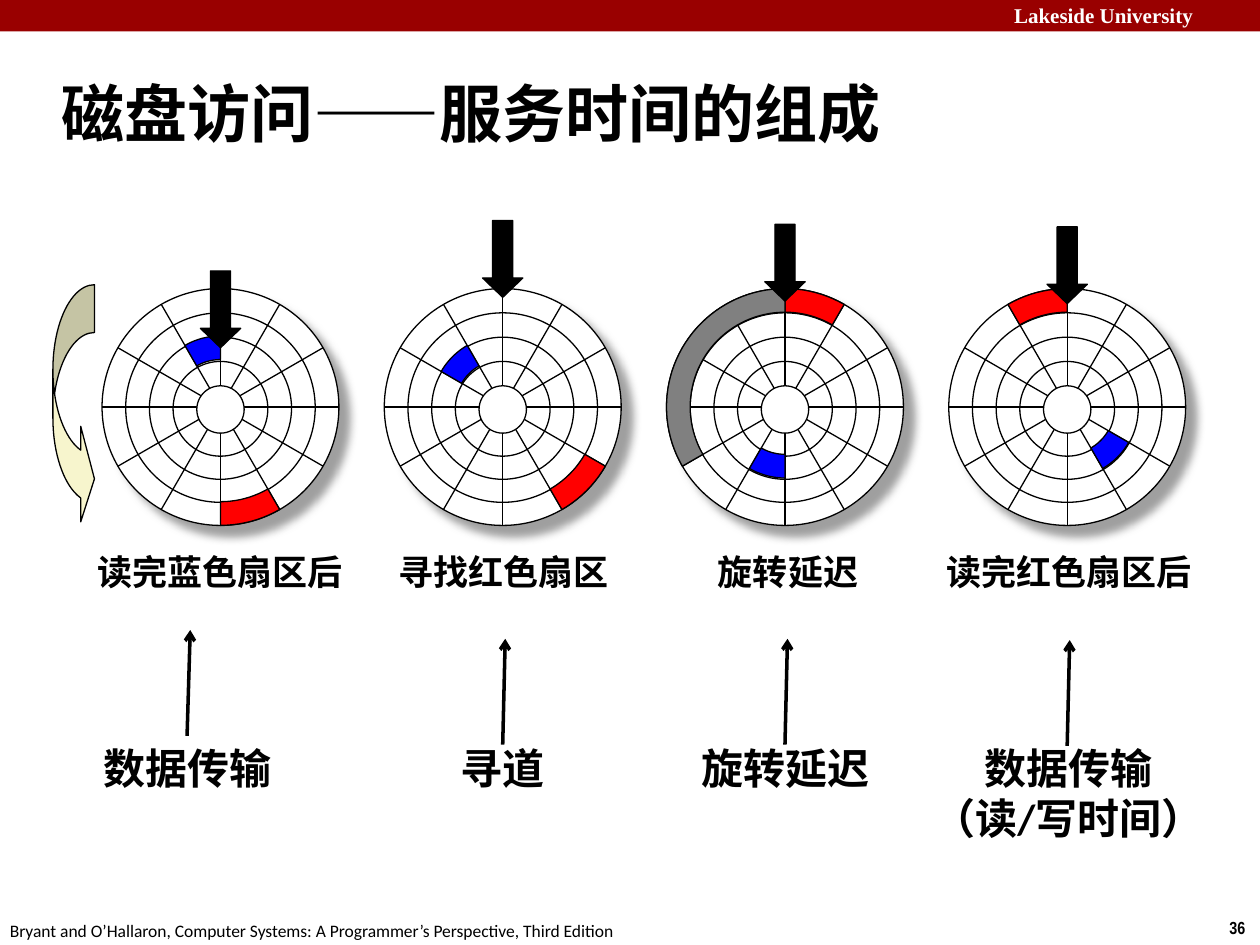
"""Build the slide on the parts of disk access time."""
import math

import lxml.etree
import pptx
import pptx.dml.color
import pptx.enum.shapes
import pptx.enum.text
import pptx.oxml.ns
import pptx.util

Inches = pptx.util.Inches
Pt = pptx.util.Pt
SHAPES = pptx.enum.shapes.MSO_SHAPE
ALIGN = pptx.enum.text.PP_ALIGN
COLORS = {
    "banner": "990000",
    "white": "FFFFFF",
    "black": "000000",
    "blue": "0000FF",
    "red": "FF0000",
    "gray": "808080",
    "cream": "F7F5CD",
}
RADIUS = 0.94
CENTER_Y = 3.23
RING_COUNT = 5


def rgb(name):
    return pptx.dml.color.RGBColor.from_string(COLORS[name])


def add_xml(parent, tag, **attributes):
    element = lxml.etree.SubElement(parent, pptx.oxml.ns.qn(tag))
    for key, value in attributes.items():
        element.set(key, str(value))
    return element


def write(frame, text, size=24, font="Calibri", color="black", bold=True,
          align=ALIGN.LEFT):
    frame.text = text
    for paragraph in frame.paragraphs:
        paragraph.alignment = align
        for run in paragraph.runs:
            run.font.size = Pt(size)
            run.font.name = font
            run.font.bold = bold
            run.font.color.rgb = rgb(color)


def polar(center_x, radius, degrees):
    angle = math.radians(degrees)
    return (Inches(center_x + radius * math.sin(angle)),
            Inches(CENTER_Y - radius * math.cos(angle)))


class DiskSlide:
    def __init__(self, slide):
        self.slide = slide
        self.line_width = Pt(0.75)

    def paint(self, shape, fill, line="black"):
        shape.shadow.inherit = False
        shape.fill.solid()
        shape.fill.fore_color.rgb = rgb(fill)
        if line:
            shape.line.color.rgb = rgb(line)
            shape.line.width = self.line_width
        else:
            shape.line.fill.background()
        return shape

    def title(self, text, left, top, width, height):
        title = self.slide.shapes.title
        title.left, title.top = Inches(left), Inches(top)
        title.width, title.height = Inches(width), Inches(height)
        title.text_frame.vertical_anchor = pptx.enum.text.MSO_ANCHOR.MIDDLE
        write(title.text_frame, text, size=36)

    def text(self, text, left, top, width, height, wrap=True, **style):
        box = self.slide.shapes.add_textbox(
            Inches(left), Inches(top), Inches(width), Inches(height))
        box.text_frame.word_wrap = wrap
        box.text_frame.auto_size = pptx.enum.text.MSO_AUTO_SIZE.SHAPE_TO_FIT_TEXT
        write(box.text_frame, text, **style)
        return box

    def shape(self, kind, left, top, width, height, fill, line="black",
              adjustments=(), parent=None):
        shape = (parent or self.slide).shapes.add_shape(
            kind, Inches(left), Inches(top), Inches(width), Inches(height))
        for index, value in enumerate(adjustments):
            shape.adjustments[index] = value
        return self.paint(shape, fill, line)

    def line(self, start, end, width=0.75, arrow=False, parent=None):
        line = (parent or self.slide).shapes.add_connector(
            pptx.enum.shapes.MSO_CONNECTOR.STRAIGHT, *start, *end)
        line.line.color.rgb = rgb("black")
        line.line.width = Pt(width)
        if arrow:
            add_xml(line.line._get_or_add_ln(), "a:tailEnd", type="arrow")
        add_xml(line._element.spPr, "a:effectLst")
        return line

    def ring(self, disk, center_x, level):
        radius = RADIUS * level / RING_COUNT
        center_y = CENTER_Y + 0.005 * (RING_COUNT - level)
        return self.shape(SHAPES.OVAL, center_x - radius, center_y - radius,
                          2 * radius, 2 * radius, "white", parent=disk)

    def cast_shadow(self, shape):
        effects = shape._element.spPr.find(pptx.oxml.ns.qn("a:effectLst"))
        shadow = add_xml(effects, "a:outerShdw", blurRad=Pt(5), dist=Pt(8.5),
                         dir=45 * 60000, algn="tl", rotWithShape=0)
        tint = add_xml(shadow, "a:srgbClr", val=COLORS["gray"])
        add_xml(tint, "a:alpha", val=75000)

    def sector(self, disk, center_x, level, start, end, fill):
        outer, inner = (RADIUS * n / RING_COUNT for n in (level, level - 1))
        angles = range(start, end + 1, 3)
        outline = [polar(center_x, outer, angle) for angle in angles]
        outline += [polar(center_x, inner, angle) for angle in reversed(angles)]
        builder = disk.shapes.build_freeform(*outline[0], scale=1.0)
        builder.add_line_segments(outline[1:], close=True)
        self.paint(builder.convert_to_shape(), fill)

    def disk(self, center_x, sectors, head_top):
        disk = self.slide.shapes.add_group_shape()
        self.cast_shadow(self.ring(disk, center_x, RING_COUNT))
        for level in range(RING_COUNT - 1, 1, -1):
            self.ring(disk, center_x, level)
        for angle in range(0, 180, 30):
            self.line(polar(center_x, RADIUS, angle),
                      polar(center_x, RADIUS, angle + 180), parent=disk)
        self.ring(disk, center_x, 1)
        for sector in sectors:
            self.sector(disk, center_x, *sector)
        self.shape(SHAPES.DOWN_ARROW, center_x - 0.16, head_top, 0.32, 0.61,
                   "black", adjustments=(0.5, 0.48), parent=disk)


def main():
    presentation = pptx.Presentation()
    presentation.slide_width, presentation.slide_height = Inches(10), Inches(7.5)
    page = DiskSlide(presentation.slides.add_slide(presentation.slide_layouts[5]))

    page.shape(SHAPES.RECTANGLE, 0, 0, 10, 0.25, "banner", line=None)
    page.text("Lakeside University", 7.95, -0.03, 2.12, 0.3, size=12,
              font="Times New Roman", color="white")
    page.text("36", 9.66, 7.23, 0.34, 0.27, wrap=False, size=10,
              font="Arial Narrow")
    page.text("Bryant and O’Hallaron, Computer Systems: "
              "A Programmer’s Perspective, Third Edition",
              -0.02, 7.25, 5.09, 0.27, wrap=False, size=10, bold=False)
    page.title("磁盘访问——服务时间的组成", 0.39, 0.48, 8.85, 0.83)

    captions = [("读完蓝色扇区后", 0.58, 2.33), ("寻找红色扇区", 3, 2),
                ("旋转延迟", 4.92, 2.67), ("读完红色扇区后", 7.32, 2.33)]
    for caption, left, width in captions:
        page.text(caption, left, 4.32, width, 0.43, size=20,
                  font="Arial Narrow", align=ALIGN.CENTER)

    disks = [
        ([(3, 330, 360, "blue"), (5, 150, 180, "red")], 2.15),
        ([(5, 120, 150, "red"), (3, 300, 330, "blue")], 1.75),
        ([(5, 0, 30, "red"), (3, 180, 210, "blue"), (5, 240, 360, "gray")], 1.78),
        ([(5, 330, 360, "red"), (3, 120, 150, "blue")], 1.8),
    ]
    for column, (sectors, head_top) in enumerate(disks):
        page.disk(1.75 + 2.24 * column, sectors, head_top)
    page.shape(SHAPES.CURVED_RIGHT_ARROW, 0.42, 2.26, 0.33, 1.92, "cream",
               adjustments=(1.15, 2.3, 0.33))

    phases = [
        ("数据传输", 0.72, 1.53, 0.5, False, ALIGN.LEFT),
        ("寻道", 3.56, 0.87, 0.5, False, ALIGN.LEFT),
        ("旋转延迟", 5.33, 1.81, 0.5, True, ALIGN.CENTER),
        ("数据传输\n（读/写时间）", 7.29, 2.38, 0.91, True, ALIGN.CENTER),
    ]
    labels = [page.text(phase, left, 5.84, width, height, wrap=wrap, align=align)
              for phase, left, width, height, wrap, align in phases]

    pointer_starts = [(1.49, 5.84), (3.99, 5.91), (6.23, 5.91), (8.47, 5.92)]
    pointers = [page.line((Inches(x), Inches(y)),
                          (Inches(x + 0.02), Inches(y - 0.84)),
                          width=2, arrow=True) for x, y in pointer_starts]
    pointers[0].begin_connect(labels[0], 0)

    presentation.save("out.pptx")


if __name__ == "__main__":
    main()
